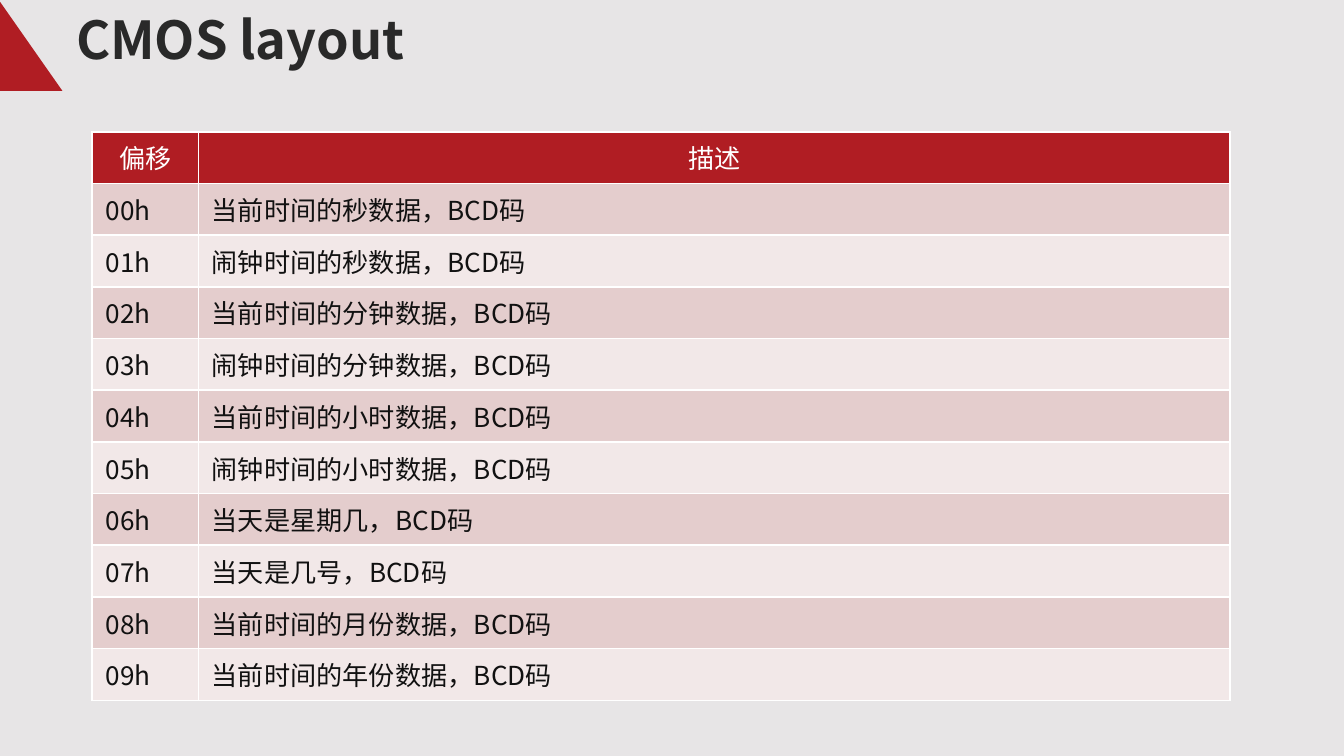
from lxml.etree import SubElement
from pptx import Presentation
from pptx.dml.color import RGBColor
from pptx.enum.shapes import MSO_SHAPE
from pptx.enum.text import MSO_ANCHOR, PP_ALIGN
from pptx.oxml.ns import qn
from pptx.util import Cm, Pt

FONT = "Noto Sans CJK SC"
RED, WHITE = "B01D23", "FFFFFF"
BANDS = ("E4CDCD", "F2E8E8")

HEADINGS = ("偏移", "描述")
FIELDS = (
    "当前时间的秒数据",
    "闹钟时间的秒数据",
    "当前时间的分钟数据",
    "闹钟时间的分钟数据",
    "当前时间的小时数据",
    "闹钟时间的小时数据",
    "当天是星期几",
    "当天是几号",
    "当前时间的月份数据",
    "当前时间的年份数据",
)


def paint(fill, color):
    fill.solid()
    fill.fore_color.rgb = RGBColor.from_string(color)


def write(paragraph, text, size, color, bold=False, align=PP_ALIGN.LEFT):
    paragraph.text = text
    paragraph.alignment = align
    font = paragraph.font
    font.size, font.bold, font.name = Pt(size), bold, FONT
    paint(font.fill, color)
    # East Asian characters take their own typeface
    defaults = paragraph._p.pPr.find(qn("a:defRPr"))
    SubElement(defaults, qn("a:ea"), typeface=FONT)


def add_borders(cell):
    properties = cell._tc.get_or_add_tcPr()
    for side in "LRTB":
        line = SubElement(properties, qn(f"a:ln{side}"), w=str(Pt(1)))
        fill = SubElement(line, qn("a:solidFill"))
        SubElement(fill, qn("a:srgbClr"), val=WHITE)


def add_corner(slide, left, top, width, height):
    corner = slide.shapes.add_shape(
        MSO_SHAPE.TRAPEZOID, left, top, width, height)
    corner.adjustments[0] = 0.7
    corner.shadow.inherit = False
    paint(corner.fill, RED)
    corner.line.fill.background()


def add_title(slide, left, top, width, height):
    frame = slide.shapes.add_textbox(left, top, width, height).text_frame
    frame.word_wrap = True
    frame.vertical_anchor = MSO_ANCHOR.MIDDLE
    frame.margin_left = frame.margin_right = Cm(0.2)
    frame.margin_top = frame.margin_bottom = Cm(0.1)
    title = frame.paragraphs[0]
    write(title, "CMOS layout", 28, "292929", bold=True)
    title.line_spacing = 0.9


def add_layout_table(slide, left, top, width, height):
    records = [(f"{offset:02}h", f"{field}，BCD码")
               for offset, field in enumerate(FIELDS)]
    rows = [HEADINGS, *records]
    table = slide.shapes.add_table(
        len(rows), len(HEADINGS), left, top, width, height).table
    offset_width = Cm(2.01)
    table.columns[0].width = offset_width
    table.columns[1].width = width - offset_width

    for r, row in enumerate(rows):
        header = r == 0
        for c, text in enumerate(row):
            cell = table.cell(r, c)
            add_borders(cell)
            paint(cell.fill, RED if header else BANDS[(r - 1) % 2])
            write(cell.text_frame.paragraphs[0], text, 14,
                  WHITE if header else "111111",
                  align=PP_ALIGN.CENTER if header else PP_ALIGN.LEFT)


def main():
    deck = Presentation()
    deck.slide_width, deck.slide_height = Cm(25.4), Cm(14.29)
    slide = deck.slides.add_slide(deck.slide_layouts[6])
    paint(slide.background.fill, "E7E5E6")

    # The corner bleeds over the left edge
    add_corner(slide, Cm(-2.36), 0, Cm(3.54), Cm(1.72))
    add_title(slide, Cm(1.24), Cm(0.13), Cm(20.45), Cm(1.35))
    add_layout_table(slide, Cm(1.74), Cm(2.49), Cm(21.51), Cm(10.75))

    deck.save("out.pptx")


if __name__ == "__main__":
    main()
